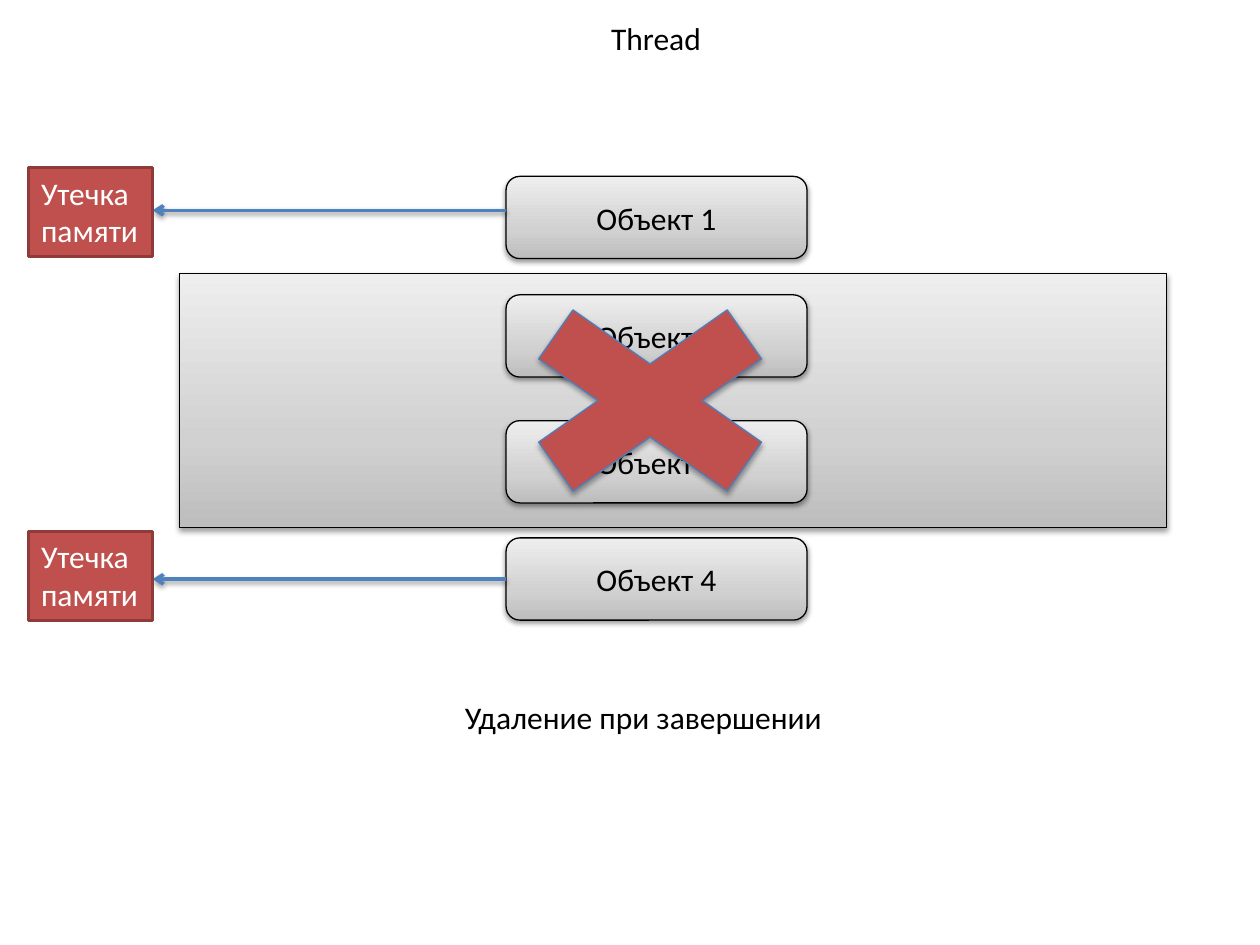
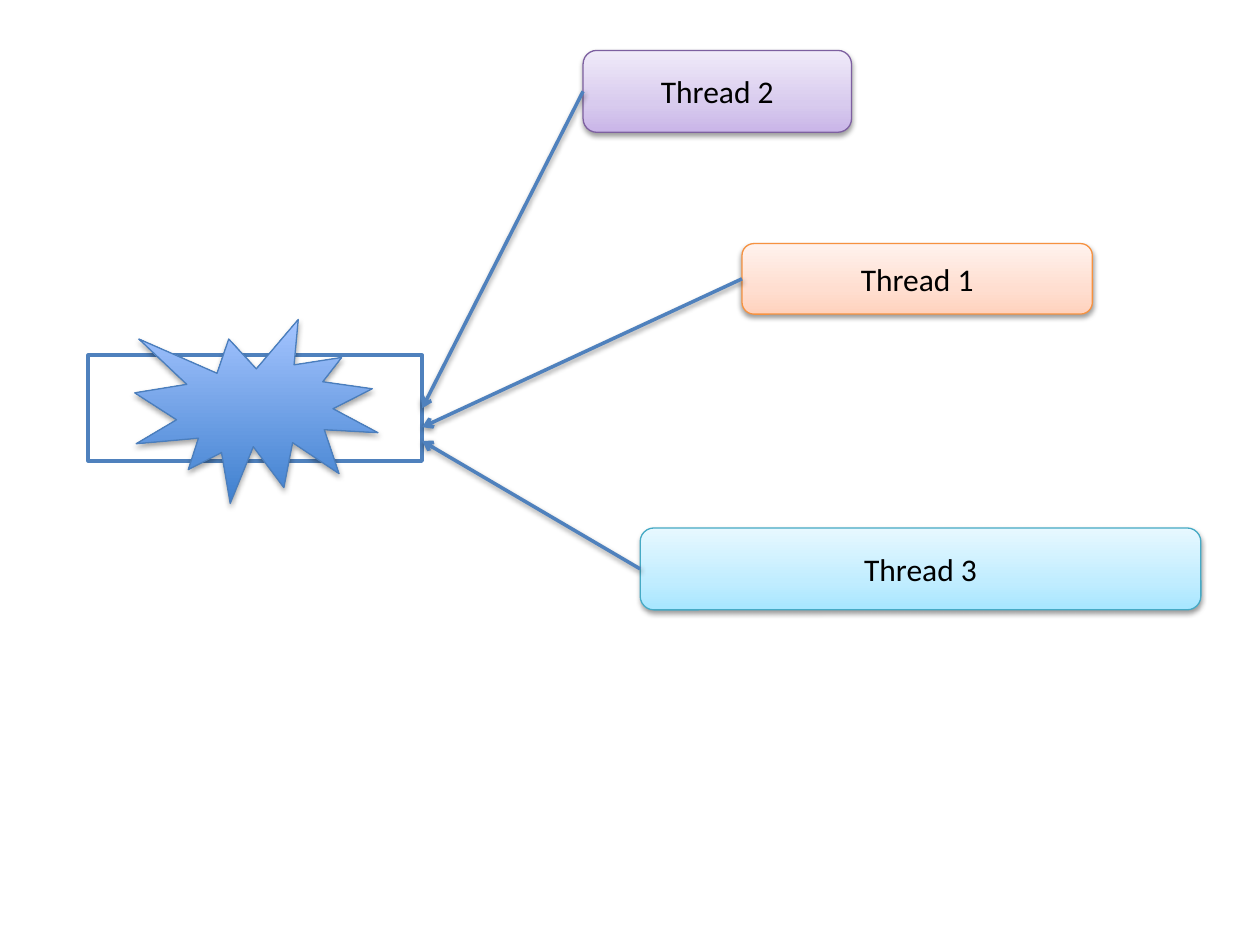
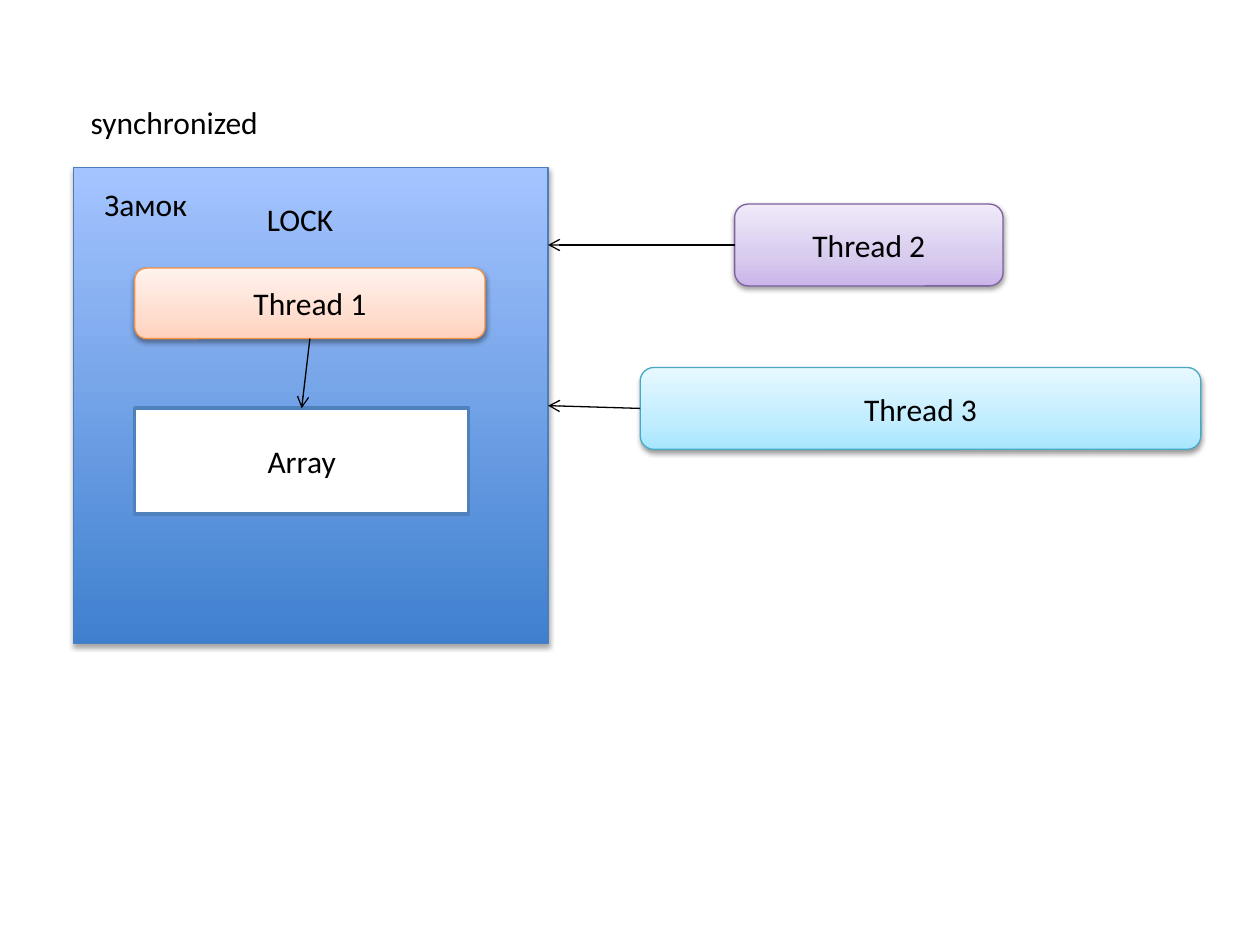
from dataclasses import dataclass

from lxml import etree
from pptx import Presentation, util as u
from pptx.dml import color as c
from pptx.enum import shapes, text
from pptx.oxml import ns

Kind = shapes.MSO_SHAPE
Align = text.PP_ALIGN
Anchor = text.MSO_ANCHOR


@dataclass(frozen=True)
class Look:
    """Fill (one colour, or gradient stops by percent), outline and shadow."""
    fill: object
    line: str
    weight: float = 0.75
    shadow: tuple = ()


class Theme:
    font = "Calibri"
    size = 18
    dark, light = "000000", "FFFFFF"
    blue = "4F81BD"
    red = "C0504D"
    # Shadows: opacity in percent, blur and distance in points
    soft = (38, 3.1, 1.6)
    deep = (35, 3.1, 1.8)
    gray = Look({0: "BDBDBD", 35: "D1D1D1", 100: "EEEEEE"}, dark, shadow=soft)
    orange = Look({0: "FFD2BD", 35: "FFDED0", 100: "FFF2ED"}, "F69240", shadow=soft)
    purple = Look({0: "C9B5E8", 35: "D8CBEE", 100: "F0EAF9"}, "7D60A0", shadow=soft)
    aqua = Look({0: "A7E6FF", 35: "C1EDFF", 100: "E7F8FF"}, "46AAC5", shadow=soft)
    azure = Look({0: "3F80CE", 100: "A4C4FF"}, "4B7EBC", shadow=deep)
    cross = Look(red, "4B7EBC", shadow=deep)
    warning = Look(red, "8E3B39", 2)
    outlined = Look(light, blue, 2)


# Each thread keeps its look and size on every slide
THREADS = {
    "Thread 1": (Theme.orange, 200.2, 40.3),
    "Thread 2": (Theme.purple, 153.4, 46.8),
    "Thread 3": (Theme.aqua, 320.4, 46.8),
}
ARRAY_SIZE = (190.8, 60.5)


def add_element(parent, tag, **attributes):
    element = etree.SubElement(parent, ns.qn(tag))
    for name, value in attributes.items():
        element.set(name, str(value))
    return element


class Deck:
    def __init__(self, theme):
        self.theme = theme
        self.presentation = Presentation()
        self.presentation.slide_width = u.Pt(720)
        self.presentation.slide_height = u.Pt(540)
        self.slide = None

    def new_slide(self, layout_name):
        layout = self.presentation.slide_layouts.get_by_name(layout_name)
        self.slide = self.presentation.slides.add_slide(layout)

    # Formatting
    def set_words(self, shape, words, color, align=Align.LEFT, anchor=Anchor.TOP, wrap=False):
        frame = shape.text_frame
        frame.text = words
        frame.word_wrap = wrap
        frame.vertical_anchor = anchor
        for paragraph in frame.paragraphs:
            paragraph.alignment = align
            for run in paragraph.runs:
                run.font.name = self.theme.font
                run.font.size = u.Pt(self.theme.size)
                run.font.color.rgb = c.RGBColor.from_string(color)

    def stroke(self, line, color, weight):
        line.color.rgb = c.RGBColor.from_string(color)
        line.width = u.Pt(weight)

    def shade(self, properties, stops):
        stop_list = properties.find(ns.qn("a:gradFill")).find(ns.qn("a:gsLst"))
        stop_list.clear()
        for percent, color in stops.items():
            stop = add_element(stop_list, "a:gs", pos=percent * 1000)
            add_element(stop, "a:srgbClr", val=color)

    def cast(self, effects, shadow):
        if shadow:
            opacity, blur, distance = shadow
            outer = add_element(effects, "a:outerShdw", blurRad=u.Pt(blur), dist=u.Pt(distance),
                                dir=90 * 60000, rotWithShape=0)
            color = add_element(outer, "a:srgbClr", val=self.theme.dark)
            add_element(color, "a:alpha", val=opacity * 1000)

    # Elements
    def box(self, kind, look, left, top, width, height):
        shape = self.slide.shapes.add_shape(kind, *map(u.Pt, (left, top, width, height)))
        properties = shape._element.spPr
        if isinstance(look.fill, dict):
            shape.fill.gradient()
            shape.fill.gradient_angle = 90
            self.shade(properties, look.fill)
        else:
            shape.fill.solid()
            shape.fill.fore_color.rgb = c.RGBColor.from_string(look.fill)
        self.stroke(shape.line, look.line, look.weight)
        shape.shadow.inherit = False
        self.cast(properties.find(ns.qn("a:effectLst")), look.shadow)
        return shape

    def labelled(self, words, kind, look, *place):
        shape = self.box(kind, look, *place)
        self.set_words(shape, words, self.theme.dark, Align.CENTER, Anchor.MIDDLE, True)

    def thread(self, name, left, top):
        look, width, height = THREADS[name]
        self.labelled(name, Kind.ROUNDED_RECTANGLE, look, left, top, width, height)

    def warning(self, words, *place):
        shape = self.box(Kind.RECTANGLE, self.theme.warning, *place)
        self.set_words(shape, words, self.theme.light)

    def title(self, words, left, top, width, height=28.8):
        shape = self.slide.shapes.title
        shape.left, shape.top, shape.width, shape.height = map(u.Pt, (left, top, width, height))
        self.set_words(shape, words, self.theme.dark)

    def label(self, words, left, top, width, height=28.8):
        shape = self.slide.shapes.add_textbox(*map(u.Pt, (left, top, width, height)))
        self.set_words(shape, words, self.theme.dark)

    def arrow(self, start, end, color, weight, shadow=()):
        connector = self.slide.shapes.add_connector(
            shapes.MSO_CONNECTOR.STRAIGHT, *map(u.Pt, (*start, *end)))
        self.stroke(connector.line, color, weight)
        properties = connector._element.spPr
        add_element(properties.find(ns.qn("a:ln")), "a:tailEnd", type="arrow")
        self.cast(add_element(properties, "a:effectLst"), shadow)

    def bold_arrow(self, start, end):
        self.arrow(start, end, self.theme.blue, 2, self.theme.soft)

    def thin_arrow(self, start, end):
        self.arrow(start, end, self.theme.dark, 0.75)


def memory_leak_slide(deck):
    deck.new_slide("Title Only")
    deck.title("Thread", 342, 7.2, 66.2)
    panel_top, panel_height = 156.2, 145.4
    deck.box(Kind.RECTANGLE, deck.theme.gray, 102.4, panel_top, 564.4, panel_height)

    # Objects of the thread
    object_left = 289.2
    for number, top in enumerate((100.8, 168.5, 240.4, 307.4), 1):
        deck.labelled(f"Объект {number}", Kind.ROUNDED_RECTANGLE, deck.theme.gray,
                      object_left, top, 172, 47)

    # Leaks outside the deleted area
    leak_left, leak_width = 16.4, 70.8
    for leak_top, arrow_y in ((303.6, 331), (95.6, 120.2)):
        deck.bold_arrow((object_left, arrow_y), (leak_left + leak_width, arrow_y))
        deck.warning("Утечка\nпамяти", leak_left, leak_top, leak_width, 51)

    deck.box(Kind.MATH_MULTIPLY, deck.theme.cross, 267.8, panel_top, 207.4, panel_height)
    deck.label("Удаление при завершении", 258.5, 395.5, 222.5)


def collision_slide(deck):
    deck.new_slide("Blank")
    array_left, array_top = 50.4, 203
    deck.box(Kind.RECTANGLE, deck.theme.outlined, array_left, array_top, *ARRAY_SIZE)

    # Threads that write to the array at once
    array_right = array_left + ARRAY_SIZE[0]
    for name, left, top, target in (
        ("Thread 1", 424, 139.2, 244.1),
        ("Thread 2", 333.2, 28.8, 233.3),
        ("Thread 3", 365.8, 301.7, 252),
    ):
        deck.thread(name, left, top)
        deck.bold_arrow((left, top + THREADS[name][2] / 2), (array_right, target))

    deck.box(Kind.EXPLOSION1, deck.theme.azure, 77, 182.6, 139, 105.1)


def lock_slide(deck):
    deck.new_slide("Title Only")
    deck.title("synchronized", 44.6, 55.4, 112.3)

    # The lock with the array and the thread that holds it
    lock_left, lock_width = 42.2, 271
    inner_left, thread_top, array_top = 77, 153.2, 233.3
    deck.box(Kind.RECTANGLE, deck.theme.azure, lock_left, 95.8, lock_width, 272)
    deck.labelled("Array", Kind.RECTANGLE, deck.theme.outlined, inner_left, array_top, *ARRAY_SIZE)
    deck.thread("Thread 1", inner_left, thread_top)
    deck.label("LOCK", 145.4, 110.9, 53.3)
    deck.label("Замок", 52.6, 102.2, 61.9)
    _, thread_width, thread_height = THREADS["Thread 1"]
    deck.thin_arrow((inner_left + thread_width / 2, thread_top + thread_height),
                    (inner_left + ARRAY_SIZE[0] / 2, array_top))

    # Waiting threads
    for name, left, top, target in (
        ("Thread 2", 419.8, 116.6, 140),
        ("Thread 3", 365.8, 210, 231.8),
    ):
        deck.thread(name, left, top)
        deck.thin_arrow((left, top + THREADS[name][2] / 2), (lock_left + lock_width, target))


def main():
    deck = Deck(Theme())
    memory_leak_slide(deck)
    collision_slide(deck)
    lock_slide(deck)
    deck.presentation.save("out.pptx")


if __name__ == "__main__":
    main()
